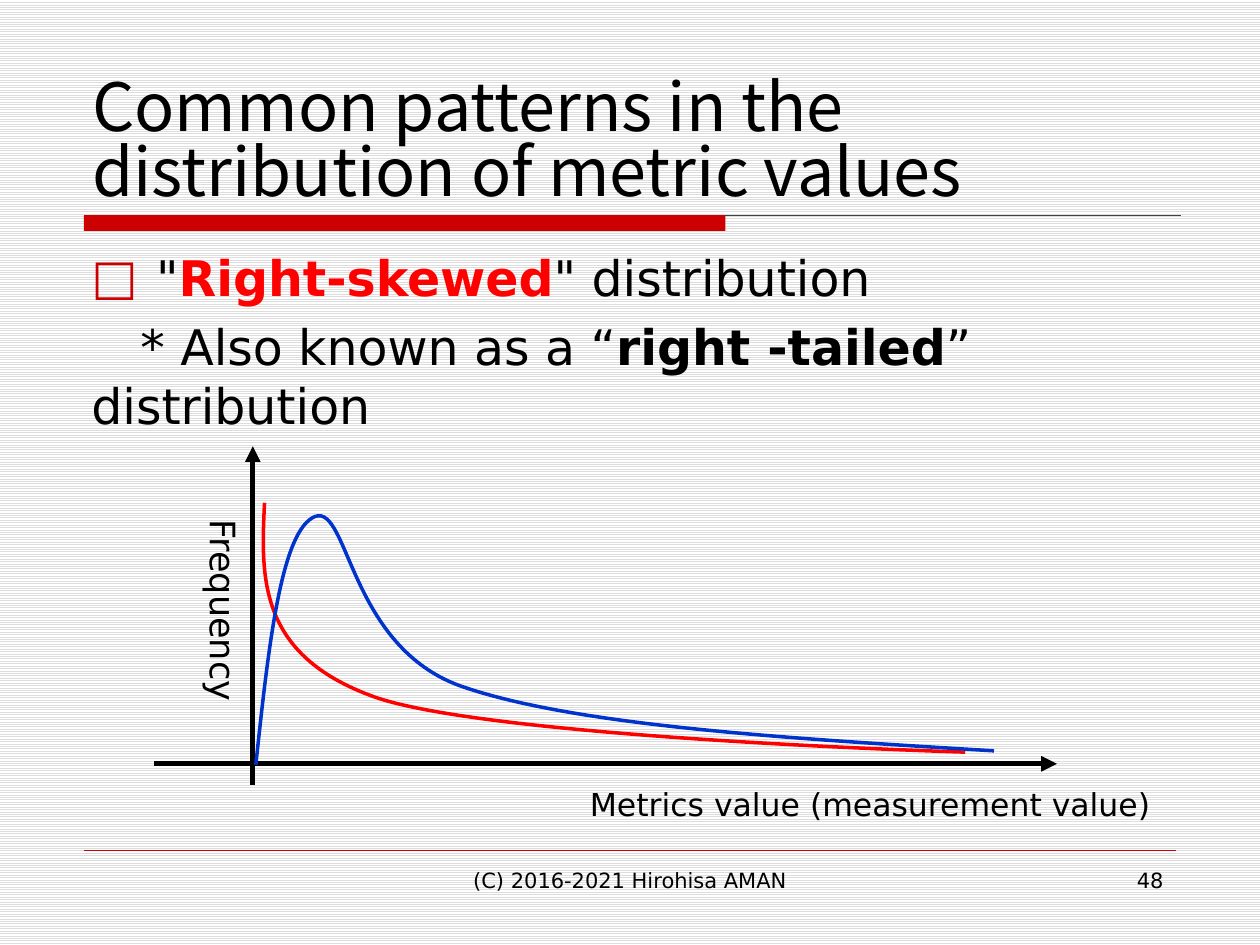
from lxml.etree import SubElement
from pptx import Presentation
from pptx.dml.color import RGBColor
from pptx.enum.dml import MSO_PATTERN
from pptx.enum.shapes import MSO_CONNECTOR, MSO_SHAPE
from pptx.enum.text import MSO_ANCHOR, MSO_AUTO_SIZE, PP_ALIGN
from pptx.oxml.ns import qn
from pptx.util import Pt

BLACK = RGBColor(0x00, 0x00, 0x00)
WHITE = RGBColor(0xFF, 0xFF, 0xFF)
STRIPE = RGBColor(0xDD, 0xDD, 0xDD)
RULE = RGBColor(0x40, 0x40, 0x40)
ACCENT = RGBColor(0xCC, 0x00, 0x00)
RED = RGBColor(0xFF, 0x00, 0x00)
BLUE = RGBColor(0x00, 0x33, 0xCC)


class SlideBuilder:
    title_font = "Noto Sans CJK JP"
    body_font = "DejaVu Sans"

    def __init__(self, prs):
        self.s = prs.slides.add_slide(prs.slide_layouts[1])

    def background(self):
        fill = self.s.background.fill
        fill.patterned()
        fill.pattern = MSO_PATTERN.LIGHT_HORIZONTAL
        fill.fore_color.rgb = STRIPE
        fill.back_color.rgb = WHITE

    def run(self, p, text, size, color=BLACK, bold=False, font=None):
        r = p.add_run()
        r.text = text
        r.font.name = font or self.body_font
        r.font.size = Pt(size)
        r.font.bold = bold
        r.font.color.rgb = color
        ea = SubElement(r.font._element, qn("a:ea"))
        ea.set("typeface", font or self.body_font)

    def place(self, sp, left, top, width, height):
        sp.left, sp.top = Pt(left), Pt(top)
        sp.width, sp.height = Pt(width), Pt(height)

    def title(self, text, box):
        sp = self.s.shapes.title
        self.place(sp, *box)
        tf = sp.text_frame
        tf.auto_size = MSO_AUTO_SIZE.NONE
        tf.vertical_anchor = MSO_ANCHOR.BOTTOM
        tf.margin_bottom = 0
        p = tf.paragraphs[0]
        p.alignment = PP_ALIGN.LEFT
        p.line_spacing = 0.81
        self.run(p, text, 38, font=self.title_font)

    def body(self, items, box):
        """Each item is (bulleted, alignment, [(text, colour, bold), ...])."""
        sp = self.s.placeholders[1]
        self.place(sp, *box)
        tf = sp.text_frame
        tf.auto_size = MSO_AUTO_SIZE.NONE
        for i, (bulleted, align, runs) in enumerate(items):
            p = tf.add_paragraph() if i else tf.paragraphs[0]
            p.alignment = align
            p.line_spacing = 1.0
            p.space_before = Pt(5.6)
            self.bullet(p, bulleted)
            for text, color, bold in runs:
                self.run(p, text, 28, color, bold)

    def bullet(self, p, shown):
        pPr = p._p.get_or_add_pPr()
        indent = Pt(37) if shown else 0
        pPr.set("marL", str(indent))
        pPr.set("indent", str(-indent))
        if shown:
            clr = SubElement(pPr, qn("a:buClr"))
            SubElement(clr, qn("a:srgbClr")).set("val", str(ACCENT))
            SubElement(pPr, qn("a:buFont")).set("typeface", self.body_font)
            SubElement(pPr, qn("a:buChar")).set("char", "□")
        else:
            SubElement(pPr, qn("a:buNone"))

    def label(self, text, box, size, align=PP_ALIGN.LEFT, wrap=True, vertical=False):
        sp = self.s.shapes.add_textbox(*map(Pt, box))
        tf = sp.text_frame
        tf.word_wrap = wrap
        if not wrap:
            tf.auto_size = MSO_AUTO_SIZE.SHAPE_TO_FIT_TEXT
        if vertical:
            tf._txBody.bodyPr.set("vert", "eaVert")
        p = tf.paragraphs[0]
        p.alignment = align
        self.run(p, text, size)

    def bar(self, box, color):
        sp = self.s.shapes.add_shape(MSO_SHAPE.RECTANGLE, *map(Pt, box))
        sp.shadow.inherit = False
        sp.fill.solid()
        sp.fill.fore_color.rgb = color
        sp.line.fill.background()

    def line(self, start, end, color, width, arrow=False):
        c = self.s.shapes.add_connector(MSO_CONNECTOR.STRAIGHT, *map(Pt, start + end))
        c.line.color.rgb = color
        c.line.width = Pt(width)
        if arrow:
            SubElement(c.line._get_or_add_ln(), qn("a:tailEnd")).set("type", "triangle")
        SubElement(c._element.spPr, qn("a:effectLst"))

    def curve(self, points, color):
        """Draw a start point followed by triples of Bezier points."""
        (x, y), *rest = [(Pt(px), Pt(py)) for px, py in points]
        builder = self.s.shapes.build_freeform(x, y)
        builder.add_line_segments(rest, close=False)
        sp = builder.convert_to_shape()
        path = sp._element.spPr.find(".//" + qn("a:path"))
        segments = path.findall(qn("a:lnTo"))
        for i in range(0, len(segments), 3):
            bezier = SubElement(path, qn("a:cubicBezTo"))
            for segment in segments[i:i + 3]:
                bezier.append(segment[0])
                path.remove(segment)
        sp.shadow.inherit = False
        sp.fill.background()
        sp.line.color.rgb = color
        sp.line.width = Pt(2)


def main():
    prs = Presentation()
    prs.slide_width, prs.slide_height = Pt(720), Pt(540)
    b = SlideBuilder(prs)
    b.background()

    b.line((48, 123), (675, 123), RULE, 0.75)
    b.bar((48, 123, 366.5, 9), ACCENT)
    b.line((48, 486), (672, 486), ACCENT, 0.25)

    b.title("Common patterns in the distribution of metric values", (45.5, 24, 590, 95.5))
    b.body([
        (True, PP_ALIGN.JUSTIFY, [
            ("\"", BLACK, False), ("Right-skewed", RED, True),
            ("\" distribution", BLACK, False)]),
        (False, PP_ALIGN.LEFT, [
            ("　* Also known as a “", BLACK, False), ("right -tailed", BLACK, True),
            ("” distribution", BLACK, False)]),
    ], (45, 138, 630, 336))
    b.label("(C) 2016-2021 Hirohisa AMAN", (246, 492, 228, 37.5), 12, PP_ALIGN.CENTER)
    b.label("48", (516, 492, 156, 37.5), 12, PP_ALIGN.RIGHT)

    b.line((88, 436.5), (604, 436.5), BLACK, 3, arrow=True)
    b.line((144.5, 448.5), (144.5, 255), BLACK, 3, arrow=True)
    b.label("Frequency", (104.5, 290, 39, 112.5), 20, wrap=False, vertical=True)
    b.curve([(151.2, 287.3), (149, 330.5), (147.6, 374.4), (213.8, 398.2),
             (280.8, 421.9), (551.5, 429.8), (551.5, 429.8)], RED)
    b.curve([(146.2, 437), (153.4, 370), (160.6, 303.1), (180, 295.2),
             (199.4, 288), (199.4, 370), (264.2, 392.4),
             (329, 414.7), (448.6, 421.9), (568, 429.1)], BLUE)
    b.label("Metrics value (measurement value)", (330, 445, 338.5, 29), 18, wrap=False)

    prs.save("out.pptx")


if __name__ == "__main__":
    main()
